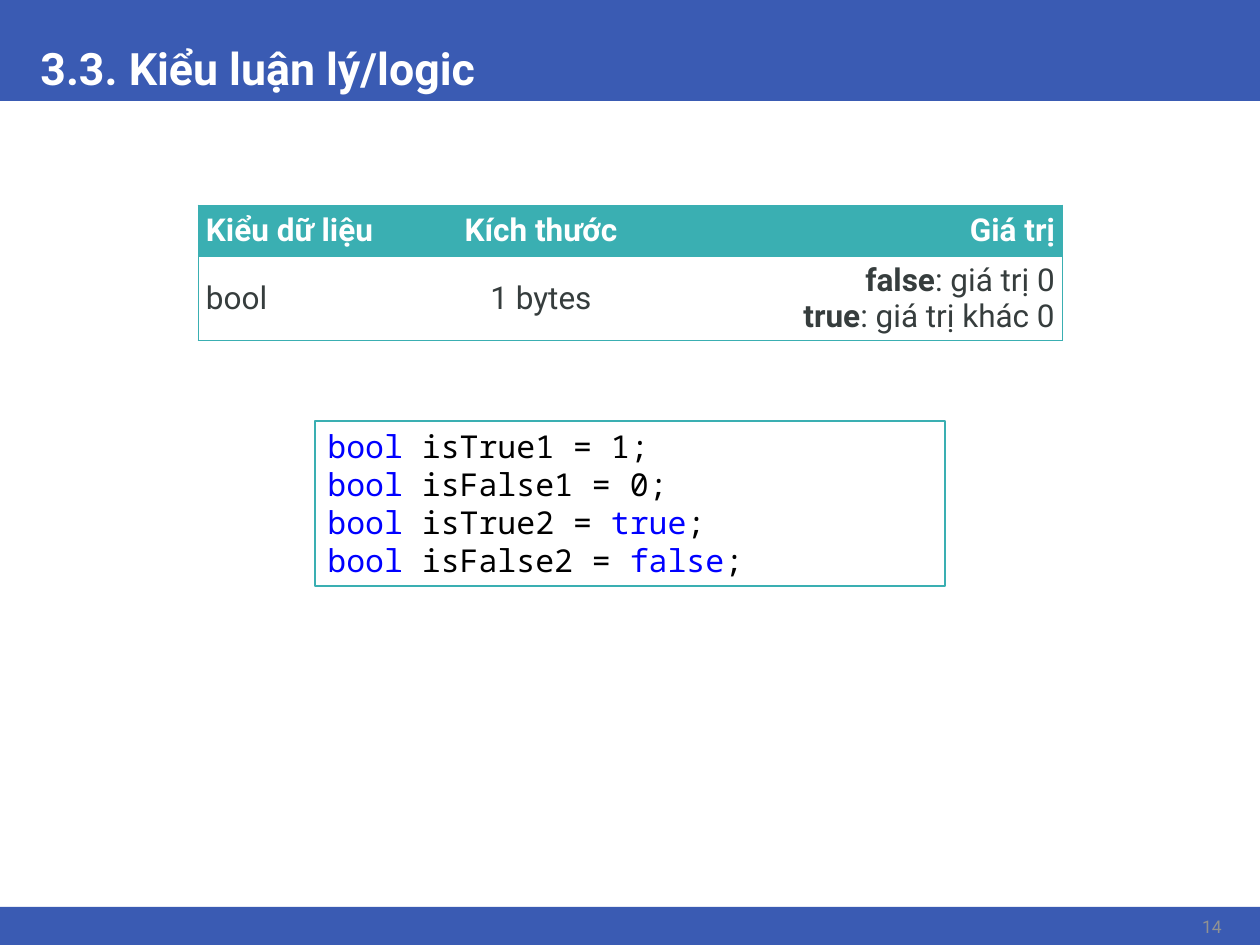
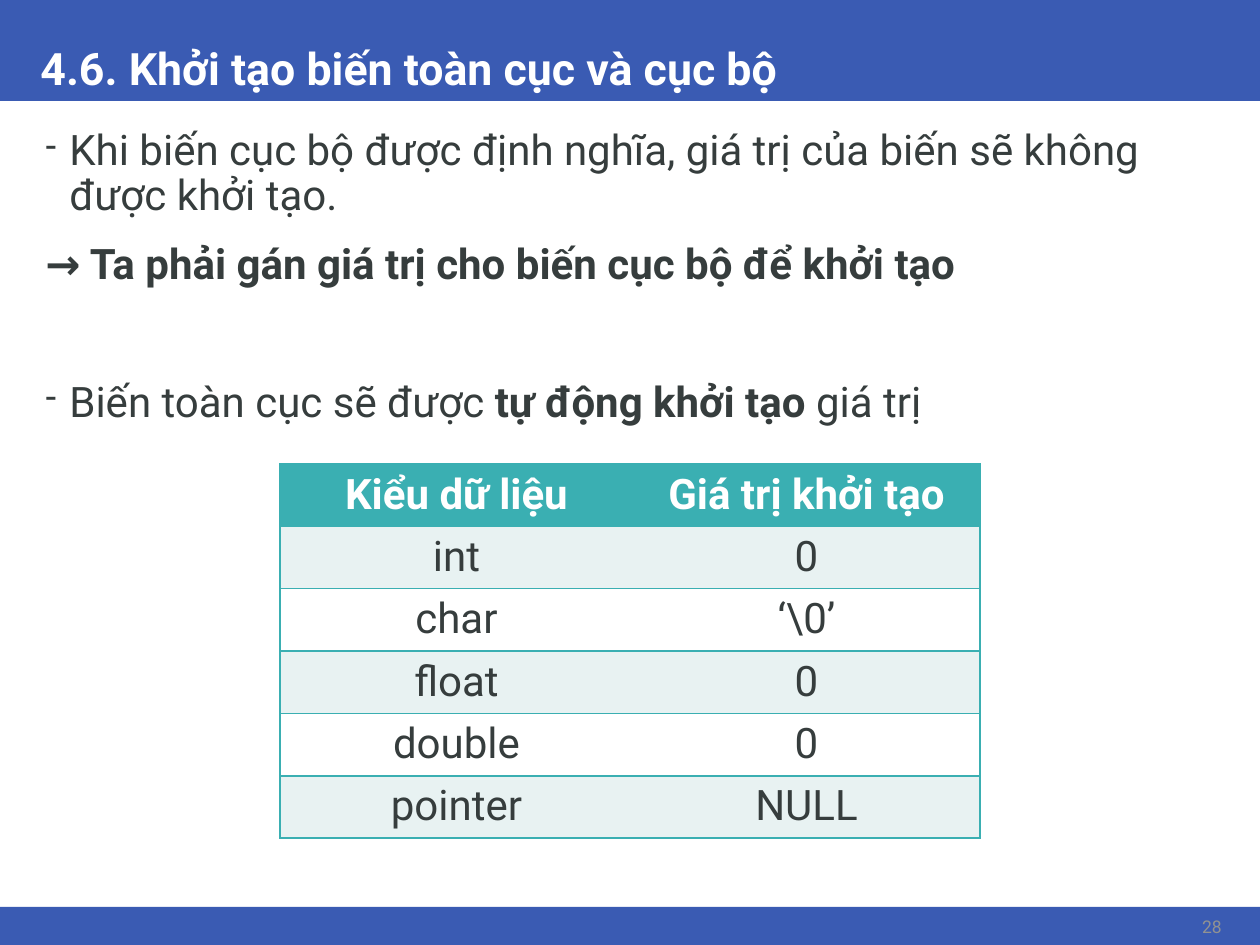
"""Build two lecture slides on the bool type and on variable initialisation."""
from lxml.etree import SubElement
from pptx import Presentation
from pptx.dml.color import RGBColor
from pptx.enum.shapes import MSO_SHAPE as SHAPE
from pptx.enum.text import MSO_ANCHOR as ANCHOR, PP_ALIGN as ALIGN
from pptx.oxml.ns import qn
from pptx.util import Pt

COLORS = {
    "band": "3A5BB3", "teal": "3AAFB2", "stripe": "E8F2F2", "white": "FFFFFF",
    "text": "363D3D", "number": "919292", "keyword": "0000FF", "code": "000000",
}
STYLES = {
    "title": ("Roboto", "white", True),
    "plain": ("Roboto", "text", False),
    "bold": ("Roboto", "text", True),
    "number": ("Roboto", "number", False),
    "keyword": ("Noto Sans Mono", "keyword", False),
    "code": ("Noto Sans Mono", "code", False),
}
WIDTH, HEIGHT = 1260, 945
EMU_PER_PX = 914400 / 126
HEADER_BAND = (0, 0, WIDTH, 101)
FOOTER_BAND = (0, 907, WIDTH, 38)
TITLE_BOX = (28, 0, 1206, 101)
NUMBER_BOX = (1167, 910, 67, 33)
BODY_BOX = (28, 123, 1206, 762)
CODE_BOX = (315, 421, 630, 165)

BOOL_SLIDE = ("3.3. Kiểu luận lý/logic", 14)
BOOL_TABLE = {
    "at": (198, 205), "cols": (211, 264, 390), "rows": (52, 81),
    "size": 18, "line": 0.5, "margins": (8, 4), "anchor": ANCHOR.MIDDLE,
    "aligns": (ALIGN.LEFT, ALIGN.CENTER, ALIGN.RIGHT),
    "fills": ("white",), "rules": False,
    "head": ("Kiểu dữ liệu", "Kích thước", "Giá trị"),
    "body": [(
        [[("bool", "plain")]],
        [[("1 bytes", "plain")]],
        [[("false", "bold"), (": giá trị 0", "plain")],
         [("true", "bold"), (": giá trị khác 0", "plain")]],
    )],
}
CODE = [
    [("bool", "keyword"), (" isTrue1 = 1;", "code")],
    [("bool", "keyword"), (" isFalse1 = 0;", "code")],
    [("bool", "keyword"), (" isTrue2 = ", "code"), ("true", "keyword"), (";", "code")],
    [("bool", "keyword"), (" isFalse2 = ", "code"), ("false", "keyword"), (";", "code")],
]

INIT_SLIDE = ("4.6. Khởi tạo biến toàn cục và cục bộ", 28)
INIT_POINTS = [
    (True, 13.5, [("Khi biến cục bộ được định nghĩa, giá trị của biến sẽ không được khởi tạo.", "plain")]),
    (False, 13.5, [("→ Ta phải gán giá trị cho biến cục bộ để khởi tạo", "bold")]),
    (True, 52.5, [("Biến toàn cục sẽ được ", "plain"), ("tự động khởi tạo ", "bold"), ("giá trị", "plain")]),
]
INIT_VALUES = [("int", "0"), ("char", "‘\\0’"), ("float", "0"), ("double", "0"), ("pointer", "NULL")]
INIT_TABLE = {
    "at": (280, 464), "cols": (353, 347), "rows": (62,) * (len(INIT_VALUES) + 1),
    "size": 24, "line": 1, "margins": (13, 6), "anchor": ANCHOR.TOP,
    "aligns": (ALIGN.CENTER, ALIGN.CENTER),
    "fills": ("stripe", "white"), "rules": True,
    "head": ("Kiểu dữ liệu", "Giá trị khởi tạo"),
    "body": [[[[(text, "plain")]] for text in row] for row in INIT_VALUES],
}


def px(*values):
    return [round(v * EMU_PER_PX) for v in values]


def rgb(name):
    return RGBColor.from_string(COLORS[name])


def write(tf, paragraphs, size, align=ALIGN.LEFT):
    tf.word_wrap = True
    for i, runs in enumerate(paragraphs):
        p = tf.paragraphs[0] if i == 0 else tf.add_paragraph()
        p.alignment = align
        for text, style in runs:
            r = p.add_run()
            r.text = text
            r.font.name, color, r.font.bold = STYLES[style]
            r.font.size = Pt(size)
            r.font.color.rgb = rgb(color)


def add_text(s, box, paragraphs, size, align=ALIGN.LEFT, anchor=ANCHOR.TOP):
    tf = s.shapes.add_textbox(*px(*box)).text_frame
    write(tf, paragraphs, size, align)
    tf.vertical_anchor = anchor
    return tf


def add_rect(s, box, fill, line=None):
    sp = s.shapes.add_shape(SHAPE.RECTANGLE, *px(*box))
    sp.shadow.inherit = False
    sp.fill.solid()
    sp.fill.fore_color.rgb = rgb(fill)
    if line:
        sp.line.color.rgb = rgb(line)
        sp.line.width = Pt(1)
    else:
        sp.line.fill.background()
    return sp


def add_slide(prs, title, number):
    s = prs.slides.add_slide(prs.slide_layouts[6])
    for band in (HEADER_BAND, FOOTER_BAND):
        add_rect(s, band, "band")
    tf = add_text(s, TITLE_BOX, [[(title, "title")]], 25.5, anchor=ANCHOR.BOTTOM)
    tf.paragraphs[0].line_spacing = 0.9
    add_text(s, NUMBER_BOX, [[(str(number), "number")]], 10, ALIGN.RIGHT, ANCHOR.MIDDLE)
    return s


def set_borders(cell, edges, width):
    tc_pr = cell._tc.get_or_add_tcPr()
    for side, shown in edges.items():
        ln = SubElement(tc_pr, qn(f"a:ln{side}"), w=str(Pt(width)))
        if shown:
            fill = SubElement(ln, qn("a:solidFill"))
            SubElement(fill, qn("a:srgbClr"), val=COLORS["teal"])
        else:
            SubElement(ln, qn("a:noFill"))


def add_table(s, t):
    cols, rows, rules = t["cols"], t["rows"], t["rules"]
    box = px(*t["at"], sum(cols), sum(rows))
    table = s.shapes.add_table(len(rows), len(cols), *box).table
    for col, width in zip(table.columns, px(*cols)):
        col.width = width
    for row, height in zip(table.rows, px(*rows)):
        row.height = height
    side, top = px(*t["margins"])
    head = [[[(text, "title")]] for text in t["head"]]
    for i, row in enumerate([head, *t["body"]]):
        fill = t["fills"][(i - 1) % len(t["fills"])] if i else "teal"
        for j, paragraphs in enumerate(row):
            cell = table.cell(i, j)
            cell.margin_left = cell.margin_right = side
            cell.margin_top = cell.margin_bottom = top
            cell.vertical_anchor = t["anchor"]
            set_borders(cell, {
                "L": j == 0, "R": j == len(cols) - 1,
                "T": rules or i == 0, "B": rules or i == len(rows) - 1,
            }, t["line"])
            cell.fill.solid()
            cell.fill.fore_color.rgb = rgb(fill)
            write(cell.text_frame, paragraphs, t["size"], t["aligns"][j])


def add_points(s, points):
    tf = add_text(s, BODY_BOX, [runs for _, _, runs in points], 24)
    for p, (bullet, before, _) in zip(tf.paragraphs, points):
        p.line_spacing = 0.9
        p.space_before = Pt(before)
        p_pr = p._p.get_or_add_pPr()
        margin, indent = px(29, -24) if bullet else px(5, 0)
        p_pr.set("marL", str(margin))
        p_pr.set("indent", str(indent))
        if bullet:
            SubElement(p_pr, qn("a:buSzPct"), val="80000")
            SubElement(p_pr, qn("a:buChar"), char="-")


def main():
    prs = Presentation()
    prs.slide_width, prs.slide_height = px(WIDTH, HEIGHT)

    s = add_slide(prs, *BOOL_SLIDE)
    add_table(s, BOOL_TABLE)
    tf = add_rect(s, CODE_BOX, "white", "teal").text_frame
    write(tf, CODE, 18)
    tf.vertical_anchor = ANCHOR.TOP

    s = add_slide(prs, *INIT_SLIDE)
    add_points(s, INIT_POINTS)
    add_table(s, INIT_TABLE)

    prs.save("out.pptx")


if __name__ == "__main__":
    main()
